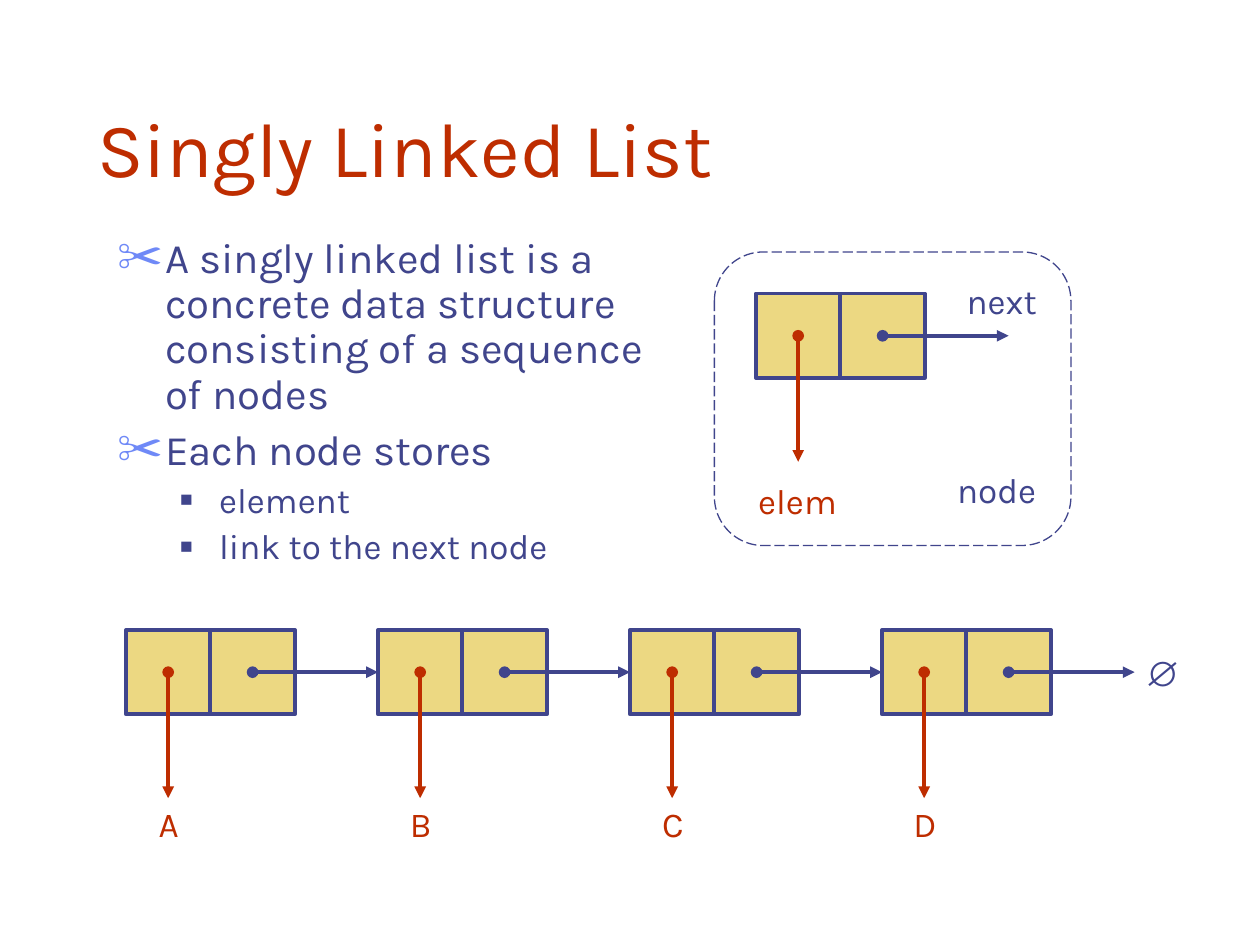
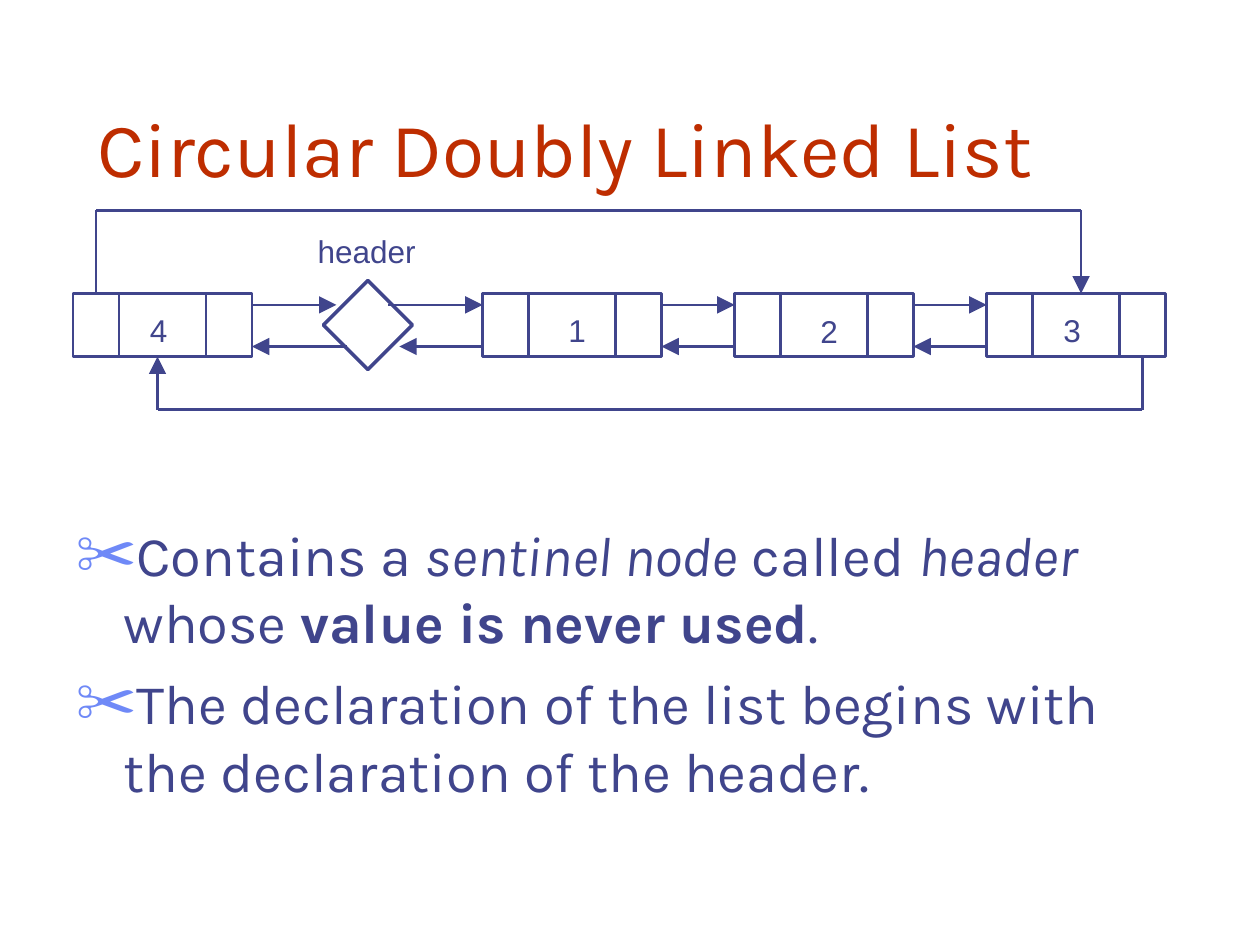
from dataclasses import dataclass

from lxml.etree import SubElement
from pptx import Presentation
from pptx.dml.color import RGBColor
from pptx.enum.dml import MSO_LINE
from pptx.enum.shapes import MSO_CONNECTOR, MSO_SHAPE
from pptx.enum.text import MSO_ANCHOR, MSO_AUTO_SIZE, PP_ALIGN
from pptx.oxml.ns import qn
from pptx.util import Inches, Pt


@dataclass(frozen=True)
class Theme:
    red: str = "BE2D00"
    navy: str = "40458C"
    gold: str = "ECD882"
    bullet: str = "6F89F7"
    font: str = "Karla"
    plain_font: str = "Arial"
    title_size: int = 44
    label_size: int = 20
    small_size: int = 18


THEME = Theme()


def add_box(shapes, kind, x, y, width, height, line_width, fill=None):
    box = shapes.add_shape(kind, Inches(x), Inches(y), Inches(width), Inches(height))
    box.shadow.inherit = False
    if fill:
        box.fill.solid()
        box.fill.fore_color.rgb = RGBColor.from_string(fill)
    else:
        box.fill.background()
    box.line.color.rgb = RGBColor.from_string(THEME.navy)
    box.line.width = Pt(line_width)
    return box


def add_link(slide, start, end, color, width, head=None, tail="triangle", ending_size="med"):
    link = slide.shapes.add_connector(
        MSO_CONNECTOR.STRAIGHT, *(Inches(value) for value in (*start, *end)))
    link.line.color.rgb = RGBColor.from_string(color)
    link.line.width = Pt(width)
    properties = link._element.spPr
    for tag, ending in (("a:headEnd", head), ("a:tailEnd", tail)):
        if ending:
            SubElement(properties.find(qn("a:ln")), qn(tag),
                       type=ending, w=ending_size, len=ending_size)
    SubElement(properties, qn("a:effectLst"))
    return link


prs = Presentation()
prs.slide_width, prs.slide_height = Inches(10), Inches(7.5)

# Wording: each list item is a level and its (text, style) runs
singly_items = [
    (0, [("A singly linked list is a concrete data structure "
          "consisting of a sequence of nodes", "")]),
    (0, [("Each node stores", "")]),
    (1, [("element", "")]),
    (1, [("link to the next node", "")]),
]
circular_items = [
    (0, [("Contains a ", ""), ("sentinel node", "italic"), (" called ", ""),
         ("header ", "italic"), ("whose ", ""), ("value is never used", "bold"),
         (".", "")]),
    (0, [("The declaration of the list begins with the declaration of the header.", "")]),
]
# Per level: indent, hanging, bullet, bullet colour, bullet size
LEVELS = [(0.38, 0.38, "✂", THEME.bullet, 110), (0.81, 0.31, "■", THEME.navy, 60)]
# Title, items, list area, text size and space before by level, line spacing
pages = [
    ("Singly Linked List", singly_items, (0.83, 1.83, 4.5, 2.75),
     (24, 20), (6, 5), 0.9),
    ("Circular Doubly Linked List", circular_items, (0.5, 4.08, 9, 2.67),
     (32,), (8,), 1.0),
]

# Titles and lists
slides = []
for heading, items, area, sizes, spaces, spacing in pages:
    slide = prs.slides.add_slide(prs.slide_layouts[1])
    slides.append(slide)
    title, body = slide.placeholders
    for holder, place in ((title, (0.67, 0.33, 8.5, 1.25)), (body, area)):
        holder.left, holder.top, holder.width, holder.height = map(Inches, place)
        holder.text_frame.auto_size = MSO_AUTO_SIZE.NONE
    title.text_frame.text = heading
    title.text_frame.vertical_anchor = MSO_ANCHOR.BOTTOM
    title_line = title.text_frame.paragraphs[0]
    title_line.alignment = PP_ALIGN.LEFT
    title_line.font.size = Pt(THEME.title_size)
    title_line.font.name = THEME.font
    title_line.font.color.rgb = RGBColor.from_string(THEME.red)

    for index, (level, runs) in enumerate(items):
        frame = body.text_frame
        item = frame.add_paragraph() if index else frame.paragraphs[0]
        item.level = level
        item.line_spacing = spacing
        item.space_before = Pt(spaces[level])
        indent, hanging, mark, mark_color, mark_size = LEVELS[level]
        properties = item._p.get_or_add_pPr()
        properties.set("marL", str(Inches(indent)))
        properties.set("indent", str(-Inches(hanging)))
        SubElement(SubElement(properties, qn("a:buClr")), qn("a:srgbClr"), val=mark_color)
        SubElement(properties, qn("a:buSzPct"), val=str(mark_size * 1000))
        SubElement(properties, qn("a:buChar"), char=mark)
        item.font.size = Pt(sizes[level])
        item.font.name = THEME.font
        item.font.color.rgb = RGBColor.from_string(THEME.navy)
        for text, style in runs:
            run = item.add_run()
            run.text = text
            if style == "italic":
                run.font.italic = True
            elif style == "bold":
                run.font.bold = True
singly, circular = slides

# Singly linked list: node frame, the sample node and the chain A to D
node_frame = add_box(singly.shapes, MSO_SHAPE.ROUNDED_RECTANGLE, 5.67, 2, 2.83, 2.33, 0.75)
node_frame.line.dash_style = MSO_LINE.LONG_DASH

CELL = 0.67
chain = [(1 + 2 * step, 5) for step in range(4)]
nodes = [(6, 2.33)] + chain
element_cells = []
for x, y in nodes:
    element_cell, next_cell = [
        add_box(singly.shapes, MSO_SHAPE.RECTANGLE, left, y, CELL, CELL, 2.25, THEME.gold)
        for left in (x, x + CELL)]
    element_cells.append(element_cell)

for index, (x, y) in enumerate(nodes):
    middle = y + CELL / 2
    element_x, next_x = x + CELL / 2, x + CELL * 1.5
    add_link(singly, (element_x, middle), (element_x, middle + 1), THEME.red, 2.25, "oval")
    next_link = add_link(singly, (next_x, middle), (next_x + 1, middle),
                         THEME.navy, 2.25, "oval")
    if 0 < index < len(chain):
        next_link.end_connect(element_cells[index + 1], 1)

# Circular list: nodes of previous, value and next cells
TOP, BOTTOM = 2.33, 2.83
SIDE, VALUE = 0.365, 0.69
node_lefts = {"4": 0.58, "1": 3.83, "2": 5.83, "3": 7.83}
circular_cells = {}
for value, x in node_lefts.items():
    group = circular.shapes.add_group_shape()
    circular_cells[value] = [
        add_box(group.shapes, MSO_SHAPE.RECTANGLE, left, TOP, width, BOTTOM - TOP, 1.5)
        for left, width in ((x, SIDE), (x + SIDE, VALUE), (x + SIDE + VALUE, SIDE))]
header_node = add_box(circular.shapes, MSO_SHAPE.RECTANGLE, 2.67, TOP, 0.5, 0.5, 2)
header_node.rotation = 45

# Links between neighbours, forward above and backward below
forward = [(2, 2.67), (3.08, 3.83), (5.25, 5.83), (7.25, 7.83)]
backward = [(7.83, 7.25), (5.83, 5.25), (3.83, 3.17), (2.75, 2)]
for y, spans in ((2.42, forward), (2.75, backward)):
    for start, end in spans:
        add_link(circular, (start, y), (end, y), THEME.navy, 1.5, ending_size="lg")

# Links that close the circle, over the top and under the bottom
first_x = node_lefts["4"] + SIDE / 2
last_x = node_lefts["3"] + SIDE * 1.5 + VALUE
closing = [
    (first_x, 8.58, TOP, 1.67, circular_cells["4"][0], 0),
    (last_x, 1.25, BOTTOM, 3.25, circular_cells["3"][2], 2),
]
for start_x, end_x, edge, turn, cell, side in closing:
    rise = add_link(circular, (start_x, edge), (start_x, turn), THEME.navy, 1.5, tail=None)
    rise.begin_connect(cell, side)
    add_link(circular, (start_x, turn), (end_x, turn), THEME.navy, 1.5, tail=None)
    add_link(circular, (end_x, turn), (end_x, edge), THEME.navy, 1.5, ending_size="lg")

# Labels: text, centre, top, colour
singly_labels = [
    ("next", 7.95, 2.17, THEME.navy),
    ("elem", 6.33, 3.76, THEME.red),
    ("node", 7.91, 3.67, THEME.navy),
    ("∅", 9.19, 5.12, THEME.navy),
] + [(letter, x + 0.34, 6.32, THEME.red) for letter, (x, _) in zip("ABCD", chain)]
circular_labels = [
    (text, center, top, THEME.navy) for text, center, top in (
        ("header", 2.91, 1.79), ("1", 4.58, 2.42), ("2", 6.58, 2.43),
        ("3", 8.51, 2.42), ("4", 1.26, 2.42))]
for slide, labels, size, font in (
        (singly, singly_labels, THEME.label_size, THEME.font),
        (circular, circular_labels, THEME.small_size, THEME.plain_font)):
    for text, center, top, color in labels:
        width = 0.4 if len(text) == 1 else 1.1
        label = slide.shapes.add_textbox(
            Inches(center - width / 2), Inches(top), Inches(width), Inches(size * 0.022))
        label.text_frame.word_wrap = False
        label.text_frame.text = text
        line = label.text_frame.paragraphs[0]
        line.alignment = PP_ALIGN.CENTER
        line.font.size = Pt(size)
        line.font.name = THEME.plain_font if text == "∅" else font
        line.font.bold = text == "∅"
        line.font.color.rgb = RGBColor.from_string(color)

prs.save("out.pptx")
